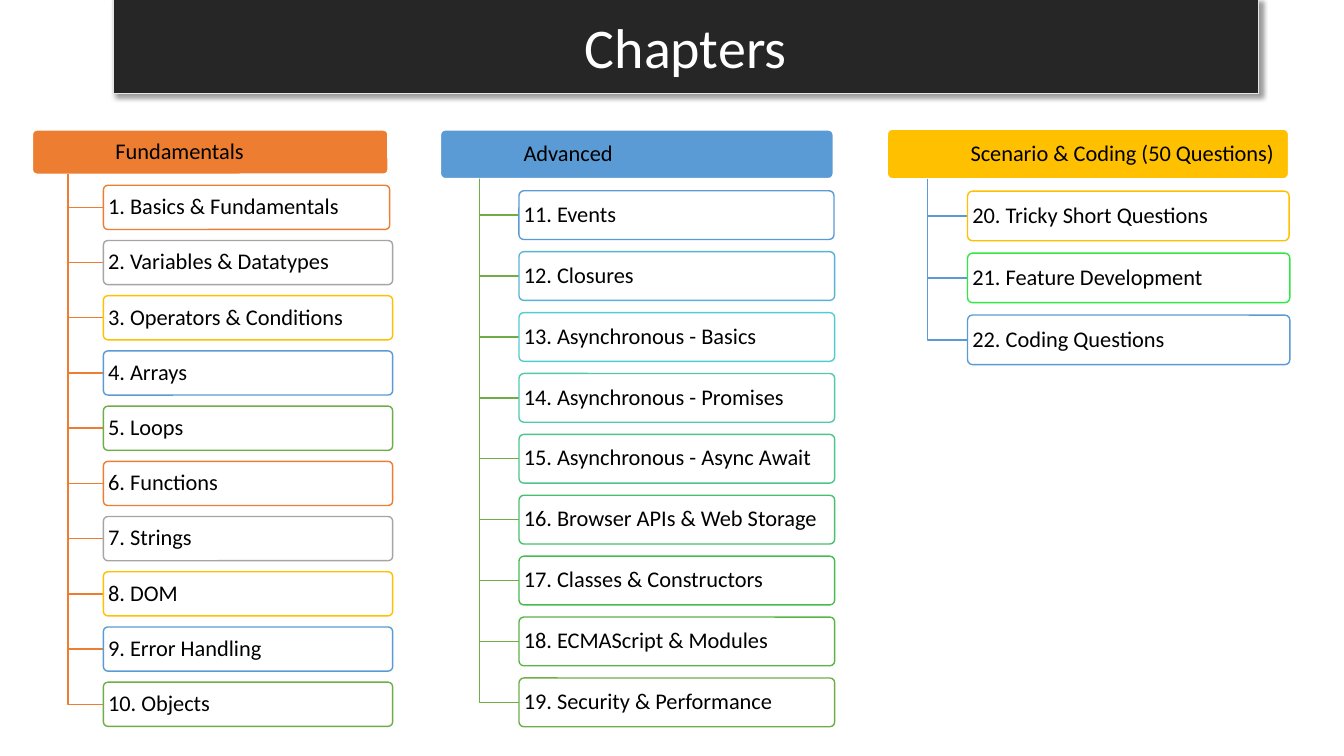
from lxml import etree
from pptx import Presentation
from pptx.dml.color import RGBColor
from pptx.enum.shapes import MSO_SHAPE as SHAPE
from pptx.enum.text import MSO_ANCHOR as ANCHOR, PP_ALIGN as ALIGN
from pptx.oxml import parse_xml
from pptx.oxml.ns import nsdecls, qn
from pptx.util import Pt

C = {
    "black": "000000", "white": "FFFFFF", "charcoal": "262626", "light": "E7E6E6",
    "orange": "ED7D31", "gray": "A5A5A5", "gold": "FFC000", "blue": "5B9BD5",
    "green": "70AD47", "sky": "57B4D1", "aqua": "54CCCD", "teal": "51C9AD",
    "mint": "4DC58D", "emerald": "4AC06E", "leaf": "48BB4F", "grass": "59B546",
    "lime": "30E845",
}

prs = Presentation()
prs.slide_width, prs.slide_height = Pt(960), Pt(540)
s = prs.slides.add_slide(prs.slide_layouts[6])


def add_box(text, left, top, width, height, *, fill, line, kind=SHAPE.ROUNDED_RECTANGLE,
            size=16, color="black", align=ALIGN.LEFT, indent=0, spacing=0.9):
    sp = s.shapes.add_shape(kind, Pt(left), Pt(top), Pt(width), Pt(height))
    sp.shadow.inherit = False
    if kind == SHAPE.ROUNDED_RECTANGLE:
        sp.adjustments[0] = 0.1
    sp.fill.solid()
    sp.fill.fore_color.rgb = RGBColor.from_string(C[fill])
    sp.line.color.rgb = RGBColor.from_string(C[line])
    sp.line.width = Pt(1)
    tf = sp.text_frame
    tf.word_wrap = True
    tf.vertical_anchor = ANCHOR.MIDDLE
    tf.margin_left = tf.margin_right = Pt(2.4)
    tf.margin_top = tf.margin_bottom = Pt(1.6)
    p = tf.paragraphs[0]
    p.alignment = align
    p.line_spacing = spacing
    if indent:
        p._p.get_or_add_pPr().set("marL", str(Pt(indent)))
    r = p.add_run()
    r.text = text
    r.font.name, r.font.size = "Calibri", Pt(size)
    r.font.color.rgb = RGBColor.from_string(C[color])
    return sp


title = add_box("Chapters", 80.8, -1.4, 818, 68.4, kind=SHAPE.RECTANGLE, fill="charcoal",
                line="light", size=40, color="white", align=ALIGN.CENTER, spacing=1.0)
title._element.spPr.find(qn("a:effectLst")).append(parse_xml(
    f'<a:outerShdw {nsdecls("a")} blurRad="50800" dist="38100" dir="2700000" algn="tl" '
    'rotWithShape="0"><a:srgbClr val="000000"><a:alpha val="40000"/></a:srgbClr></a:outerShdw>'))

# heading, left, top, heading width, box height, first and other chapter widths,
# heading fill, branch colour, chapters with their outline colours
columns = [
    ("Fundamentals", 23.1, 92.9, 254, 31.55, 204.5, 206.6, "orange", "orange", [
        ("1. Basics & Fundamentals", "orange"),
        ("2. Variables & Datatypes", "gray"),
        ("3. Operators & Conditions", "gold"),
        ("4. Arrays", "blue"),
        ("5. Loops", "green"),
        ("6. Functions", "orange"),
        ("7. Strings", "gray"),
        ("8. DOM", "gold"),
        ("9. Error Handling", "blue"),
        ("10. Objects", "green"),
    ]),
    ("Advanced", 314.6, 92.8, 280.6, 34.8, 225, 225.5, "blue", "green", [
        ("11. Events", "blue"),
        ("12. Closures", "sky"),
        ("13. Asynchronous - Basics", "aqua"),
        ("14. Asynchronous - Promises", "teal"),
        ("15. Asynchronous - Async Await", "mint"),
        ("16. Browser APIs & Web Storage", "emerald"),
        ("17. Classes & Constructors", "leaf"),
        ("18. ECMAScript & Modules", "grass"),
        ("19. Security & Performance", "green"),
    ]),
    ("Scenario & Coding (50 Questions)", 633.8, 92.3, 286.6, 35.4, 229.7, 230.2, "gold", "blue", [
        ("20. Tricky Short Questions", "gold"),
        ("21. Feature Development", "lime"),
        ("22. Coding Questions", "blue"),
    ]),
]

for heading, left, top, width, height, first_w, other_w, fill, branch, chapters in columns:
    add_box(heading, left, top, width, height, fill=fill, line="white", indent=56)
    trunk_x, chapter_x = left + 0.1 * width, left + 0.2 * width
    for i, (chapter, outline) in enumerate(chapters):
        y = top + 1.25 * height * (i + 1)
        middle = y + height / 2
        fb = s.shapes.build_freeform(Pt(trunk_x), Pt(top + height))
        fb.add_line_segments([(Pt(trunk_x), Pt(middle)), (Pt(chapter_x), Pt(middle))], close=False)
        elbow = fb.convert_to_shape()
        elbow.shadow.inherit = False
        elbow.fill.background()
        elbow.line.color.rgb = RGBColor.from_string(C[branch])
        elbow.line.width = Pt(1)
        box = add_box(chapter, chapter_x, y, other_w if i else first_w, height,
                      fill="white", line=outline)
        white = box._element.spPr.find(qn("a:solidFill"))[0]
        etree.SubElement(white, qn("a:alpha")).set("val", "90000")

prs.save("out.pptx")
